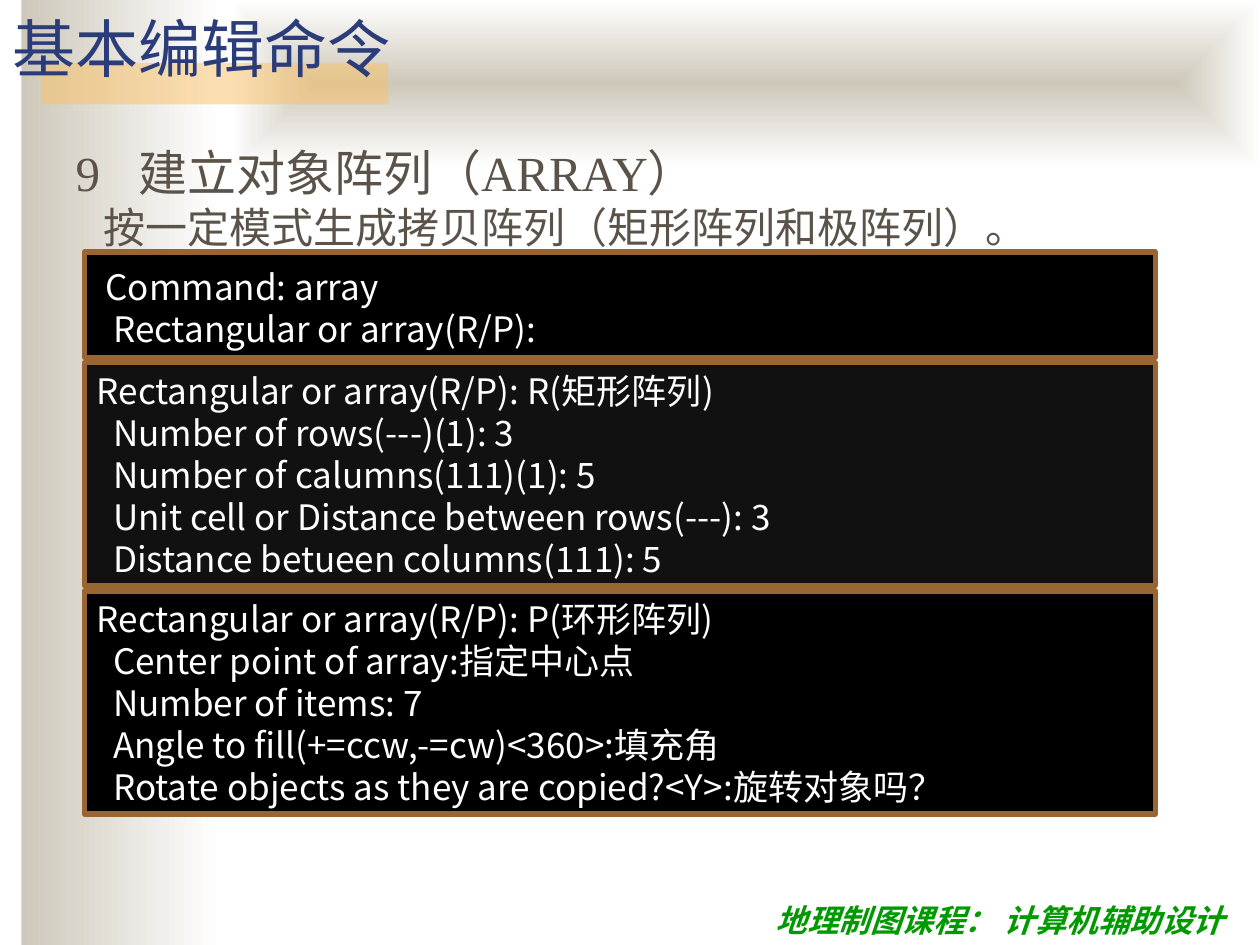
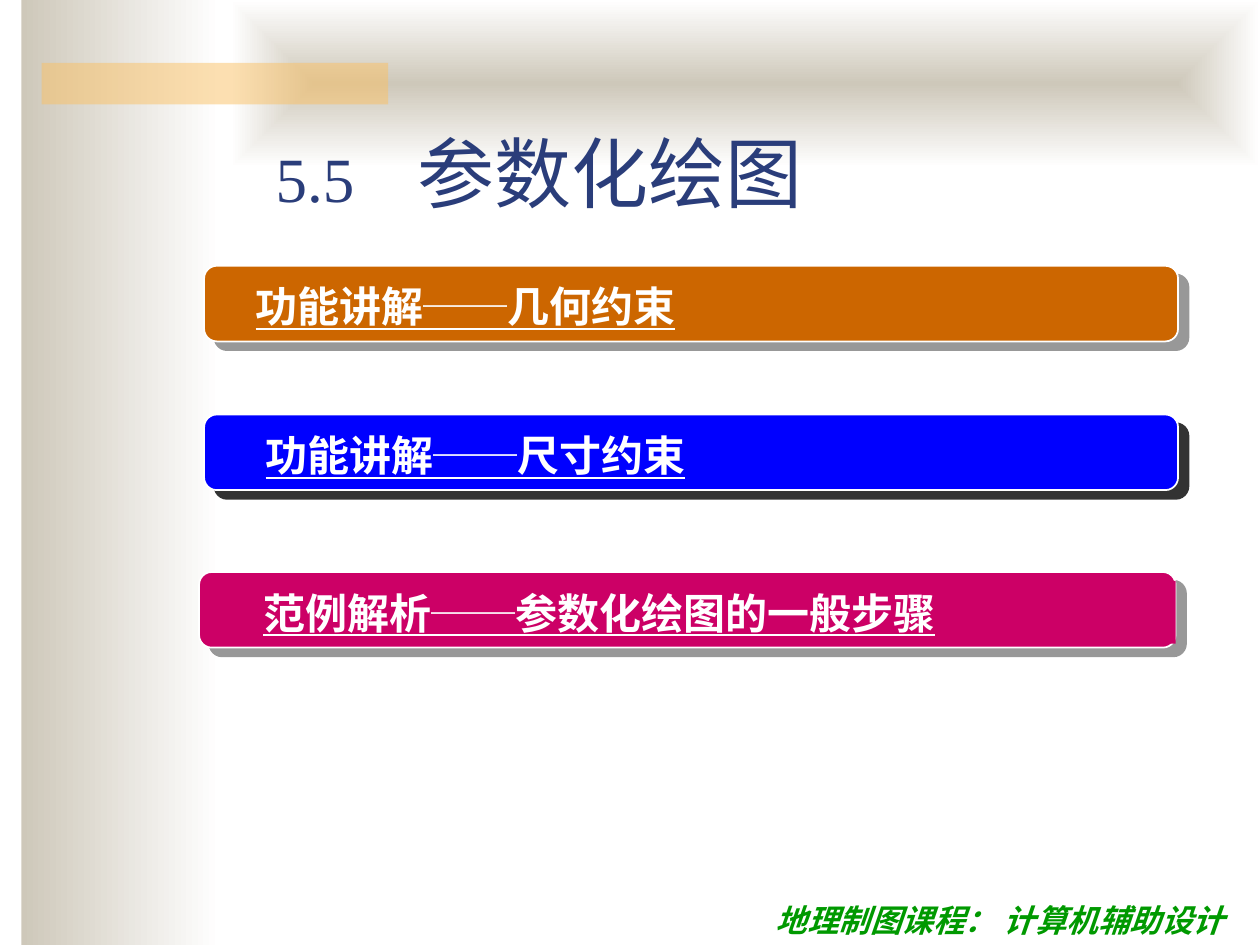
from dataclasses import dataclass

from lxml.etree import SubElement
from pptx import Presentation
from pptx.dml.color import RGBColor
from pptx.enum.shapes import MSO_SHAPE
from pptx.enum.text import MSO_ANCHOR, MSO_AUTO_SIZE, PP_ALIGN
from pptx.oxml.ns import qn
from pptx.util import Pt

PX = 9144  # EMU per px, 100 px to the inch


@dataclass(frozen=True)
class Theme:
    serif: str = "Times New Roman"
    sans: str = "Noto Sans CJK SC"
    label: str = "Noto Sans CJK JP"
    title: str = "2A3D7A"
    body: str = "5B5249"
    footer: str = "009900"
    band: str = "CEC8BA"
    accent: str = "FAC164"
    frame: str = "996633"
    shadow: str = "333333"
    light: str = "FFFFFF"
    title_size: int = 36
    chapter_size: int = 44
    heading_size: int = 28
    text_size: int = 24
    command_size: int = 20
    footer_size: int = 18


THEME = Theme()

FOOTER = "地理制图课程： 计算机辅助设计"
SIDE_BAND = (17, 0, 158, 750)
TOP_BAND = (183, 0, 817, 133)
ACCENT_BAR = (33, 50, 275, 33)
FOOTER_BOX = (606, 710, 394, 40)

COMMANDS_TITLE = "基本编辑命令"
ARRAY_HEADING = "9\t建立对象阵列（ARRAY）"
ARRAY_SUMMARY = "按一定模式生成拷贝阵列（矩形阵列和极阵列）。"
# top, height, inset above, fill, first-line indent, lines
CONSOLES = [
    (200, 84, 11, "000000", 7, ["Command: array", "Rectangular or array(R/P):"]),
    (288, 177, 5, "111111", 0, [
        "Rectangular or array(R/P): R(矩形阵列)",
        "Number of rows(---)(1): 3",
        "Number of calumns(111)(1): 5",
        "Unit cell or Distance between rows(---): 3",
        "Distance betueen columns(111): 5",
    ]),
    (469, 177, 5, "000000", 0, [
        "Rectangular or array(R/P): P(环形阵列)",
        "Center point of array:指定中心点",
        "Number of items: 7",
        "Angle to fill(+=ccw,-=cw)<360>:填充角",
        "Rotate objects as they are copied?<Y>:旋转对象吗？",
    ]),
]
CONSOLE_LEFT, CONSOLE_WIDTH, REPLY_INDENT = 67, 850, 13

CHAPTER_NUMBER, CHAPTER_NAME = "5.5　", "参数化绘图"
# left, top, width, colour, shadow opacity, label left, label width, label filled, text
TOPICS = [
    (162, 211, 773, "CC6600", 50, 193, 757, False, "功能讲解──几何约束"),
    (162, 329, 773, "0000FF", 100, 201, 757, False, "功能讲解──尺寸约束"),
    (158, 454, 775, "CC0066", 50, 199, 734, True, "范例解析──参数化绘图的一般步骤"),
]
TOPIC_HEIGHT, LABEL_HEIGHT, LABEL_DROP = 60, 50, 7


def emu(box):
    return [value * PX for value in box]


def place(shape, box):
    shape.left, shape.top, shape.width, shape.height = emu(box)


def paint(fill, color):
    fill.solid()
    fill.fore_color.rgb = RGBColor.from_string(color)


def set_opacity(color_owner, percent):
    color = next(color_owner.iter(qn("a:srgbClr")))
    SubElement(color, qn("a:alpha"), val=str(percent * 1000))


def add_panel(shapes, kind, box, color=None, line=None, line_width=0):
    panel = shapes.add_shape(kind, *emu(box))
    panel.shadow.inherit = False
    if color:
        paint(panel.fill, color)
    if line:
        paint(panel.line.fill, line)
        panel.line.width = Pt(line_width)
    else:
        panel.line.fill.background()
    return panel


def prepare(frame, anchor=MSO_ANCHOR.TOP, inset_top=5):
    frame.word_wrap = True
    frame.auto_size = MSO_AUTO_SIZE.NONE
    frame.vertical_anchor = anchor
    frame.margin_left = frame.margin_right = 10 * PX
    frame.margin_top, frame.margin_bottom = inset_top * PX, 5 * PX


def next_paragraph(frame, index, align=PP_ALIGN.LEFT, indent=0, tab=None):
    """Return an unbulleted paragraph, reusing the first one of the frame."""
    paragraph = frame.add_paragraph() if index else frame.paragraphs[0]
    paragraph.alignment = align
    paragraph.space_before = Pt(0)
    properties = paragraph._p.get_or_add_pPr()
    properties.set("marL", str(indent * PX))
    properties.set("indent", "0")
    SubElement(properties, qn("a:buNone"))
    if tab:
        stops = SubElement(properties, qn("a:tabLst"))
        SubElement(stops, qn("a:tab"), pos=str(tab * PX), algn="l")
    return paragraph


def add_run(paragraph, text, size, color, face=THEME.sans, east=THEME.sans, **style):
    run = paragraph.add_run()
    run.text = text
    font = run.font
    font.size, font.name = Pt(size), face
    font.color.rgb = RGBColor.from_string(color)
    for name, value in style.items():
        setattr(font, name, value)
    latin = run._r.rPr.find(qn("a:latin"))
    latin.addnext(latin.makeelement(qn("a:ea"), {"typeface": east}))


def add_gradient_band(shapes, box, from_centre=False):
    band = add_panel(shapes, MSO_SHAPE.RECTANGLE, box)
    band.fill.gradient()
    band.fill.gradient_angle = 0
    for stop, color, position in zip(
            band.fill.gradient_stops, (THEME.band, THEME.light), (0, 1)):
        stop.color.rgb = RGBColor.from_string(color)
        stop.position = position
    if from_centre:
        linear = next(band.element.iter(qn("a:lin")))
        gradient = linear.getparent()
        gradient.remove(linear)
        rays = SubElement(gradient, qn("a:path"), path="rect")
        SubElement(rays, qn("a:fillToRect"), l="50000", t="50000", r="50000", b="50000")
    return band


def dress_master(master, slide):
    """Draw the shared parts on a slide, then move them behind the master's placeholders."""
    side = add_gradient_band(slide.shapes, SIDE_BAND)
    top = add_gradient_band(slide.shapes, TOP_BAND, from_centre=True)
    accent = add_panel(slide.shapes, MSO_SHAPE.RECTANGLE, ACCENT_BAR, THEME.accent)
    set_opacity(accent.element.spPr, 50)
    footer = slide.shapes.add_textbox(*emu(FOOTER_BOX))
    prepare(footer.text_frame)
    add_run(next_paragraph(footer.text_frame, 0), FOOTER, THEME.footer_size,
            THEME.footer, THEME.serif, bold=True, italic=True)
    for order, part in enumerate((side, top, accent, footer)):
        part.element.nvSpPr.cNvPr.set("id", str(100 + order))
        master.shapes.element.insert(2 + order, part.element)


def add_console(shapes, top, height, inset, color, first_indent, lines):
    console = add_panel(shapes, MSO_SHAPE.RECTANGLE,
                        (CONSOLE_LEFT, top, CONSOLE_WIDTH, height), color, THEME.frame, 3)
    prepare(console.text_frame, inset_top=inset)
    for index, line in enumerate(lines):
        indent = REPLY_INDENT if index else first_indent
        add_run(next_paragraph(console.text_frame, index, indent=indent),
                line, THEME.command_size, THEME.light)


def fill_array_slide(slide):
    title, body = slide.shapes.title, slide.placeholders[1]
    place(title, (0, 0, 383, 75))
    prepare(title.text_frame, MSO_ANCHOR.MIDDLE)
    add_run(next_paragraph(title.text_frame, 0), COMMANDS_TITLE,
            THEME.title_size, THEME.title, THEME.serif)
    place(body, (50, 108, 875, 97))
    prepare(body.text_frame)
    add_run(next_paragraph(body.text_frame, 0, tab=49), ARRAY_HEADING,
            THEME.heading_size, THEME.body, THEME.serif)
    add_run(next_paragraph(body.text_frame, 1, indent=22), ARRAY_SUMMARY,
            THEME.text_size, THEME.body)
    for console in CONSOLES:
        add_console(slide.shapes, *console)


def add_topic(shapes, left, top, width, color, opacity, label_left, label_width, filled, text):
    group = shapes.add_group_shape()
    bar = add_panel(group.shapes, MSO_SHAPE.ROUNDED_RECTANGLE,
                    (left, top, width, TOPIC_HEIGHT), color, THEME.light, 1)
    bar.adjustments[0] = 0.167
    effects = bar.element.spPr.find(qn("a:effectLst"))
    shadow = SubElement(effects, qn("a:outerShdw"), dist=str(Pt(7.8)),
                        dir=str(40 * 60000), algn="tl", rotWithShape="0")
    SubElement(shadow, qn("a:srgbClr"), val=THEME.shadow)
    set_opacity(shadow, opacity)
    label = group.shapes.add_textbox(
        *emu((label_left, top + LABEL_DROP, label_width, LABEL_HEIGHT)))
    if filled:
        paint(label.fill, color)
    prepare(label.text_frame)
    add_run(next_paragraph(label.text_frame, 0), text, THEME.text_size, THEME.light,
            THEME.label, THEME.label, bold=True, underline=True)


def fill_chapter_slide(slide):
    title = slide.shapes.title
    place(title, (33, 88, 790, 90))
    prepare(title.text_frame, MSO_ANCHOR.BOTTOM)
    heading = next_paragraph(title.text_frame, 0, PP_ALIGN.CENTER)
    add_run(heading, CHAPTER_NUMBER, THEME.title_size, THEME.title, THEME.serif)
    add_run(heading, CHAPTER_NAME, THEME.chapter_size, THEME.title, THEME.serif)
    for topic in TOPICS:
        add_topic(slide.shapes, *topic)


def main():
    deck = Presentation()
    deck.slide_width, deck.slide_height = 1000 * PX, 750 * PX
    array_slide = deck.slides.add_slide(deck.slide_layouts.get_by_name("Title and Content"))
    chapter_slide = deck.slides.add_slide(deck.slide_layouts.get_by_name("Title Only"))
    dress_master(deck.slide_master, array_slide)
    fill_array_slide(array_slide)
    fill_chapter_slide(chapter_slide)
    deck.save("out.pptx")


if __name__ == "__main__":
    main()
